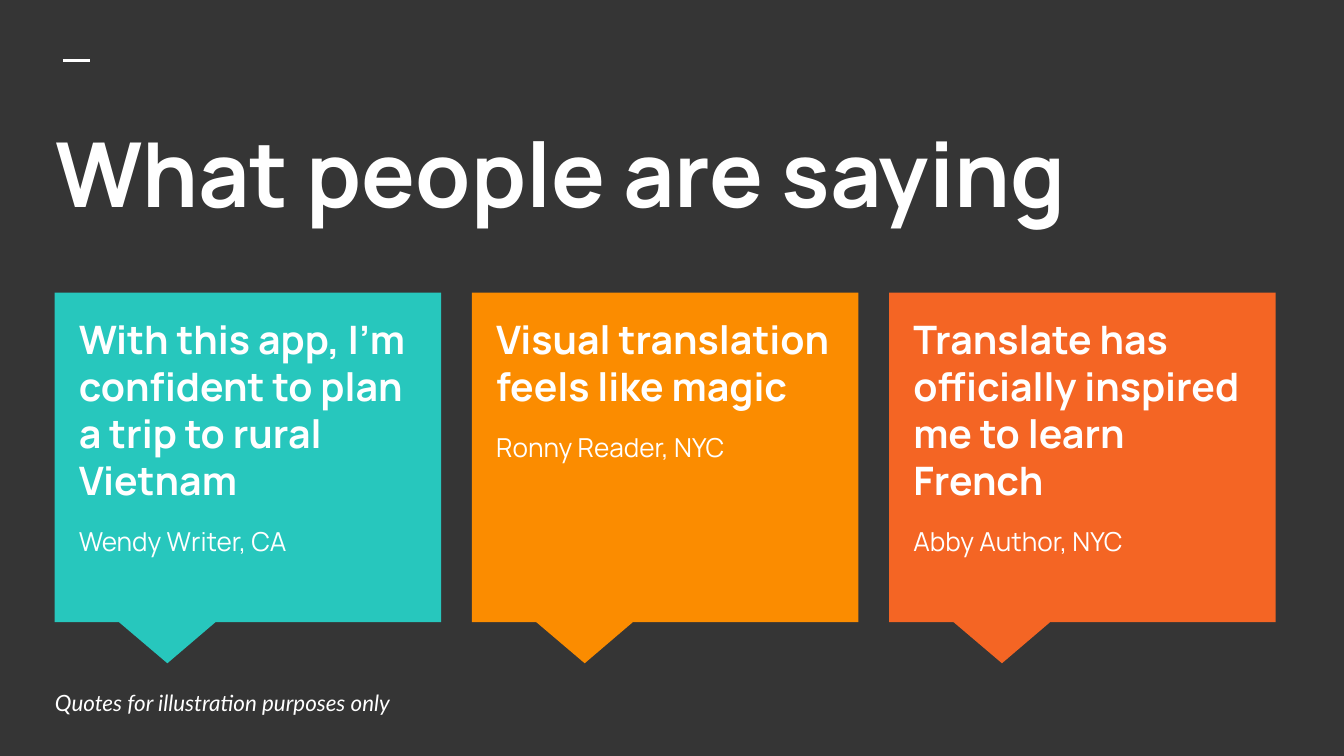
from pptx import Presentation
from pptx.dml.color import RGBColor
from pptx.enum.shapes import MSO_CONNECTOR, MSO_SHAPE
from pptx.enum.text import MSO_ANCHOR, MSO_AUTO_SIZE, PP_ALIGN
from pptx.oxml.ns import qn
from pptx.util import Cm, Pt
from lxml import etree

BACKGROUND = RGBColor(0x35, 0x35, 0x35)
WHITE = RGBColor(0xFF, 0xFF, 0xFF)
TEAL = RGBColor(0x27, 0xC7, 0xBD)
AMBER = RGBColor(0xFB, 0x8C, 0x00)
ORANGE = RGBColor(0xF4, 0x65, 0x24)

QUOTES = [
    ("With this app, I’m confident to plan a trip to rural Vietnam", "Wendy Writer, CA", TEAL),
    ("Visual translation feels like magic", "Ronny Reader, NYC", AMBER),
    ("Translate has officially inspired me to learn French", "Abby Author, NYC", ORANGE),
]


def prepare_frame(frame, anchor=MSO_ANCHOR.TOP):
    frame.word_wrap = True
    frame.auto_size = MSO_AUTO_SIZE.NONE
    frame.vertical_anchor = anchor
    frame.margin_left = frame.margin_right = Cm(0.25)
    frame.margin_top = frame.margin_bottom = Cm(0.25)


def format_paragraph(paragraph, size, font="Manrope", bold=False, italic=False):
    paragraph.alignment = PP_ALIGN.LEFT
    for run in paragraph.runs:
        run.font.name = font
        run.font.size = Pt(size)
        run.font.bold = bold
        run.font.italic = italic
        run.font.color.rgb = WHITE


def add_header(slide, left, top, width, height):
    # Short accent dash above the title
    dash_left, dash_top = left + Cm(0.4), top - Cm(0.84)
    dash = slide.shapes.add_connector(
        MSO_CONNECTOR.STRAIGHT, dash_left, dash_top, dash_left + Cm(0.51), dash_top)
    dash.line.color.rgb = WHITE
    dash.line.width = Pt(1.5)
    etree.SubElement(dash._element.spPr, qn("a:effectLst"))

    # Title
    title = slide.shapes.title
    title.left, title.top, title.width, title.height = left, top, width, height
    title.text_frame.text = "What people are saying"
    prepare_frame(title.text_frame)
    format_paragraph(title.text_frame.paragraphs[0], 48, bold=True)


def add_quote_card(slide, left, top, width, height, quote, author, color):
    # Speech bubble
    bubble = slide.shapes.add_shape(
        MSO_SHAPE.RECTANGULAR_CALLOUT, left, top, width, height)
    bubble.adjustments[0] = -0.208
    bubble.adjustments[1] = 0.625
    bubble.shadow.inherit = False
    bubble.fill.solid()
    bubble.fill.fore_color.rgb = color
    bubble.line.fill.background()

    # Quote and its author
    testimonial = slide.shapes.add_textbox(
        left + Cm(0.21), top + Cm(0.18), width - Cm(0.43), height - Cm(0.69))
    frame = testimonial.text_frame
    prepare_frame(frame)
    frame.text = quote
    frame.add_paragraph().text = author
    for paragraph, size, bold in zip(frame.paragraphs, (21, 14), (True, False)):
        paragraph.space_after = Pt(12)
        format_paragraph(paragraph, size, bold=bold)


def add_quote_row(slide, left, top, width, height, gap):
    card_width = (width - gap * (len(QUOTES) - 1)) // len(QUOTES)
    for index, (quote, author, color) in enumerate(QUOTES):
        add_quote_card(slide, left + index * (card_width + gap), top,
                       card_width, height, quote, author, color)


def add_disclaimer(slide, left, top, width, height):
    disclaimer = slide.shapes.add_textbox(left, top, width, height)
    frame = disclaimer.text_frame
    prepare_frame(frame, MSO_ANCHOR.MIDDLE)
    frame.text = "Quotes for illustration purposes only"
    format_paragraph(frame.paragraphs[0], 12, font="Lato", italic=True)


def main():
    presentation = Presentation()
    presentation.slide_width = Cm(25.4)
    presentation.slide_height = Cm(14.29)
    slide = presentation.slides.add_slide(presentation.slide_layouts[5])
    slide.background.fill.solid()
    slide.background.fill.fore_color.rgb = BACKGROUND

    add_header(slide, Cm(0.79), Cm(1.98), Cm(23.95), Cm(2.84))
    add_quote_row(slide, Cm(1.03), Cm(5.53), Cm(23.08), Cm(6.23), Cm(0.58))
    add_disclaimer(slide, Cm(0.79), Cm(12.93), Cm(17.35), Cm(0.71))
    presentation.save("out.pptx")


if __name__ == "__main__":
    main()
